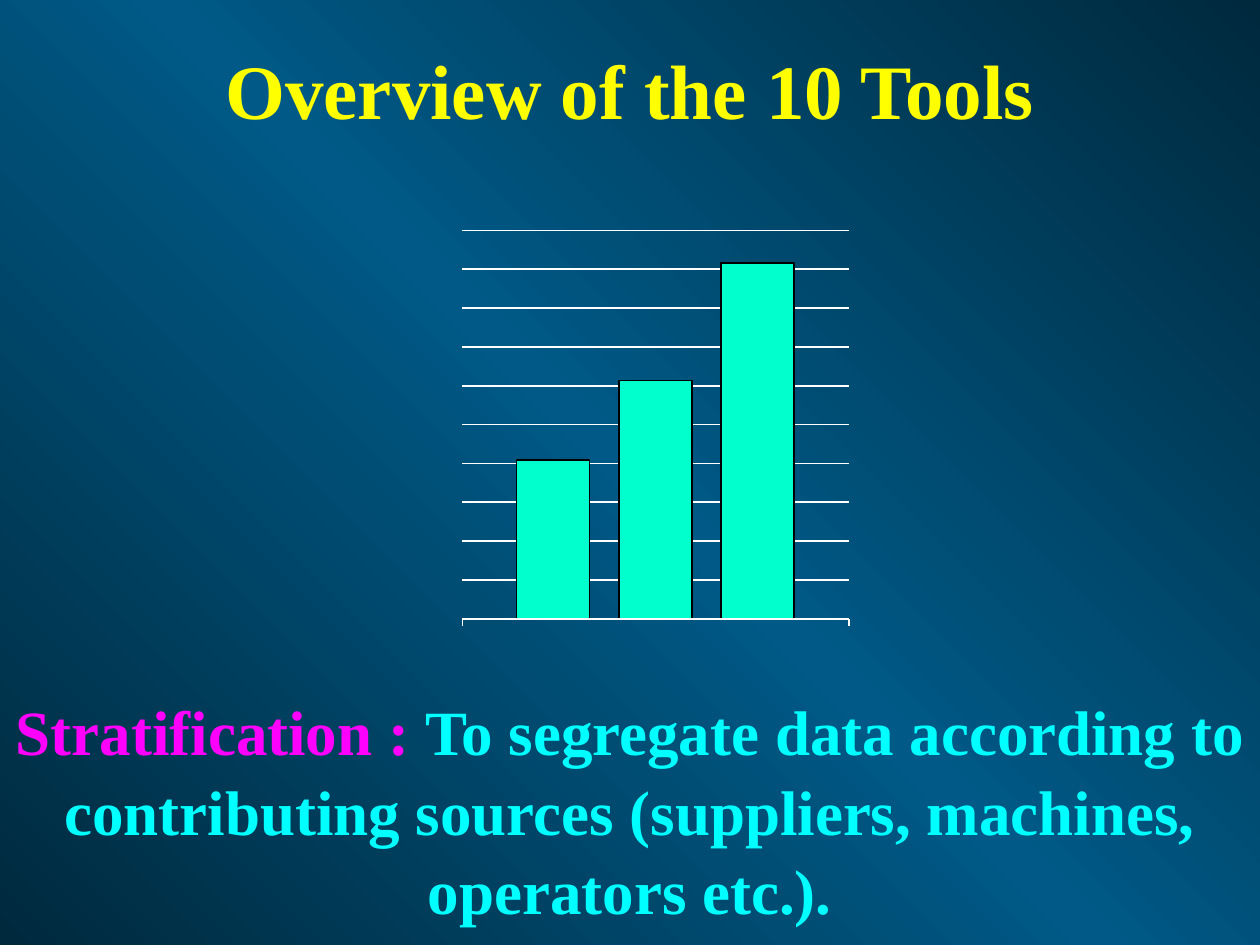
import copy

import pptx
import pptx.dml.color
import pptx.enum.shapes
import pptx.enum.text
import pptx.oxml
import pptx.oxml.ns
import pptx.util

Inches = pptx.util.Inches
Pt = pptx.util.Pt

COLORS = {
    "edge": "00293D",
    "middle": "005986",
    "title": "FFFF00",
    "term": "FF00FF",
    "definition": "00FFFF",
    "grid": "FFFFFF",
    "bar": "00FFCC",
    "outline": "000000",
}


class SlideBuilder:
    font_name = "Times New Roman"
    line_width = Pt(1)

    def __init__(self, presentation):
        self.slide = presentation.slides.add_slide(presentation.slide_layouts[5])

    def color(self, name):
        return pptx.dml.color.RGBColor.from_string(COLORS[name])

    def background(self, names, angle):
        fill = self.slide.background.fill
        fill.gradient()
        fill.gradient_angle = angle
        stop_list = next(self.slide.element.iter(pptx.oxml.ns.qn("a:gsLst")))
        stop_list.insert(1, copy.deepcopy(stop_list[0]))
        for index, name in enumerate(names):
            stop_list[index].set("pos", str(index * 100000 // (len(names) - 1)))
            fill.gradient_stops[index].color.rgb = self.color(name)

    def fill_text(self, shape, box, parts, size, space_after):
        shape.left, shape.top, shape.width, shape.height = map(Inches, box)
        frame = shape.text_frame
        frame.word_wrap = True
        frame.auto_size = pptx.enum.text.MSO_AUTO_SIZE.SHAPE_TO_FIT_TEXT
        frame.vertical_anchor = pptx.enum.text.MSO_ANCHOR.TOP
        paragraph = frame.paragraphs[0]
        paragraph.alignment = pptx.enum.text.PP_ALIGN.CENTER
        paragraph.line_spacing = 1.05
        paragraph.space_before = Pt(0)
        paragraph.space_after = Pt(space_after)
        for text, color_name in parts:
            run = paragraph.add_run()
            run.text = text
            run.font.name = self.font_name
            run.font.size = Pt(size)
            run.font.bold = True
            run.font.color.rgb = self.color(color_name)

    def title(self, box, text):
        self.fill_text(self.slide.shapes.title, box, [(text, "title")], 44, 6)

    def text(self, box, parts):
        shape = self.slide.shapes.add_textbox(0, 0, 0, 0)
        self.fill_text(shape, box, parts, 36, 7)

    def line(self, x1, y1, x2, y2):
        connector = self.slide.shapes.add_connector(
            pptx.enum.shapes.MSO_CONNECTOR.STRAIGHT,
            Inches(x1), Inches(y1), Inches(x2), Inches(y2),
        )
        connector.line.color.rgb = self.color("grid")
        connector.line.width = self.line_width
        properties = connector.element.spPr
        properties.append(pptx.oxml.parse_xml(
            f'<a:effectLst {pptx.oxml.ns.nsdecls("a")}/>'
        ))

    def bar(self, left, top, width, bottom):
        shape = self.slide.shapes.add_shape(
            pptx.enum.shapes.MSO_SHAPE.RECTANGLE,
            Inches(left), Inches(top), Inches(width), Inches(bottom - top),
        )
        shape.shadow.inherit = False
        shape.fill.solid()
        shape.fill.fore_color.rgb = self.color("bar")
        shape.line.color.rgb = self.color("outline")
        shape.line.width = self.line_width


def main():
    presentation = pptx.Presentation()
    presentation.slide_width = Inches(10)
    presentation.slide_height = Inches(7.5)
    builder = SlideBuilder(presentation)
    builder.background(["edge", "middle", "edge"], 225)

    builder.text((0, 5.42, 10, 1.9), [
        ("Stratification : ", "term"),
        ("To segregate data according to contributing sources "
         "(suppliers, machines, operators etc.).", "definition"),
    ])
    builder.title((0, 0.25, 10, 0.84), "Overview of the 10 Tools")

    left, right, top, base = 3.67, 6.74, 1.83, 4.91
    intervals = 10
    for step in range(1, intervals + 1):
        y = base - step * (base - top) / intervals
        builder.line(left, y, right, y)
    for index, bar_top in enumerate([3.65, 3.02, 2.09]):
        builder.bar(4.1 + index * 0.81, bar_top, 0.58, base)
    builder.line(left, base, right, base)
    for x in (left, right):
        builder.line(x, base + 0.06, x, base)

    presentation.save("out.pptx")


if __name__ == "__main__":
    main()
